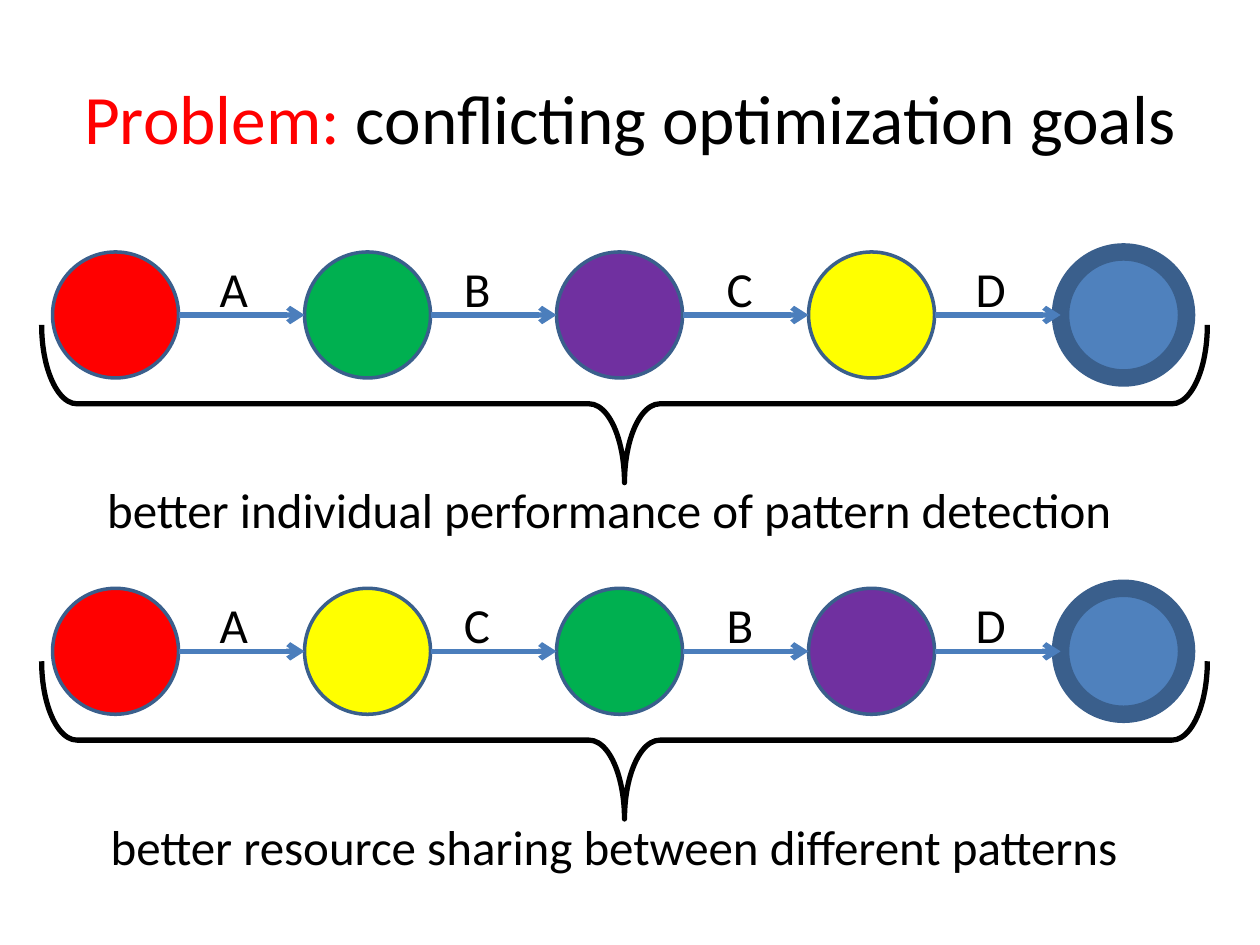
"""Build the slide on conflicting optimization goals of two pattern plans."""
from lxml import etree
from pptx import Presentation
from pptx.dml.color import RGBColor
from pptx.enum.shapes import MSO_CONNECTOR, MSO_SHAPE
from pptx.enum.text import MSO_ANCHOR, MSO_AUTO_SIZE, PP_ALIGN
from pptx.oxml.ns import qn
from pptx.util import Cm, Pt

OVAL = MSO_SHAPE.OVAL
LEFT_BRACE = MSO_SHAPE.LEFT_BRACE
STRAIGHT = MSO_CONNECTOR.STRAIGHT
MIDDLE = MSO_ANCHOR.MIDDLE
CENTER = PP_ALIGN.CENTER
NO_FIT = MSO_AUTO_SIZE.NONE
GROW = MSO_AUTO_SIZE.SHAPE_TO_FIT_TEXT

COLORS = {
    "red": "FF0000", "green": "00B050", "purple": "7030A0", "yellow": "FFFF00",
    "blue": "4F81BD", "outline": "3A5F8C", "arrow": "4B7EBC", "black": "000000",
}
FONT = "Calibri"
DIAMETER = 2.54
STATE_LEFT = 1.06
STATE_STEP = 2 * DIAMETER
LABEL_LEFTS = [4.18, 9.1, 14.4, 19.42]
LABEL_WIDTHS = {"A": 1.09, "B": 1.08, "C": 1.04, "D": 1.12}
PLANS = [
    (5.08, ["red", "green", "purple", "yellow", "blue"], "ABCD",
     "better individual performance of pattern detection", 1.91, 21.03),
    (11.86, ["red", "yellow", "green", "purple", "blue"], "ACBD",
     "better resource sharing between different patterns", 1.98, 21.08),
]


def add_run(paragraph, text, size, color):
    run = paragraph.add_run()
    run.text = text
    run.font.name = FONT
    run.font.size = Pt(size)
    run.font.color.rgb = RGBColor.from_string(COLORS[color])


def add_label(slide, text, left, top, width):
    label = slide.shapes.add_textbox(Cm(left), Cm(top), Cm(width), Cm(1.45))
    label.text_frame.word_wrap = False
    label.text_frame.auto_size = GROW
    add_run(label.text_frame.paragraphs[0], text, 28, "black")


presentation = Presentation()
presentation.slide_width = Cm(25.4)
presentation.slide_height = Cm(19.05)
slide = presentation.slides.add_slide(presentation.slide_layouts[5])

title = slide.shapes.title
title.left, title.top, title.width, title.height = Cm(1.27), Cm(0.76), Cm(22.86), Cm(3.18)
title.text_frame.vertical_anchor = MIDDLE
title.text_frame.auto_size = NO_FIT
heading = title.text_frame.paragraphs[0]
heading.alignment = CENTER
add_run(heading, "Problem:", 39.6, "red")
add_run(heading, " conflicting optimization goals", 39.6, "black")

for top, states, events, caption, caption_left, caption_width in PLANS:
    for index, color in enumerate(states):
        left = STATE_LEFT + index * STATE_STEP
        state = slide.shapes.add_shape(OVAL, Cm(left), Cm(top), Cm(DIAMETER), Cm(DIAMETER))
        state.shadow.inherit = False
        state.fill.solid()
        state.fill.fore_color.rgb = RGBColor.from_string(COLORS[color])
        state.line.color.rgb = RGBColor.from_string(COLORS["outline"])
        state.line.width = Pt(10 if index == len(states) - 1 else 2)

    for index, event in enumerate(events):
        start = STATE_LEFT + index * STATE_STEP + DIAMETER
        middle = Cm(top + DIAMETER / 2)
        arrow = slide.shapes.add_connector(STRAIGHT, Cm(start), middle, Cm(start + DIAMETER), middle)
        arrow.line.color.rgb = RGBColor.from_string(COLORS["arrow"])
        arrow.line.width = Pt(3)
        etree.SubElement(arrow.line._get_or_add_ln(), qn("a:tailEnd"), type="arrow")
        etree.SubElement(arrow._element.spPr, qn("a:effectLst"))
        add_label(slide, event, LABEL_LEFTS[index], top, LABEL_WIDTHS[event])

    brace = slide.shapes.add_shape(LEFT_BRACE, Cm(11), Cm(top - 8.69), Cm(3.18), Cm(23.5))
    brace.rotation = 270
    brace.adjustments[0] = 0.224
    brace.adjustments[1] = 0.5
    brace.shadow.inherit = False
    brace.fill.background()
    brace.line.color.rgb = RGBColor.from_string(COLORS["black"])
    brace.line.width = Pt(3)
    add_label(slide, caption, caption_left, top + 4.47, caption_width)

presentation.save("out.pptx")
